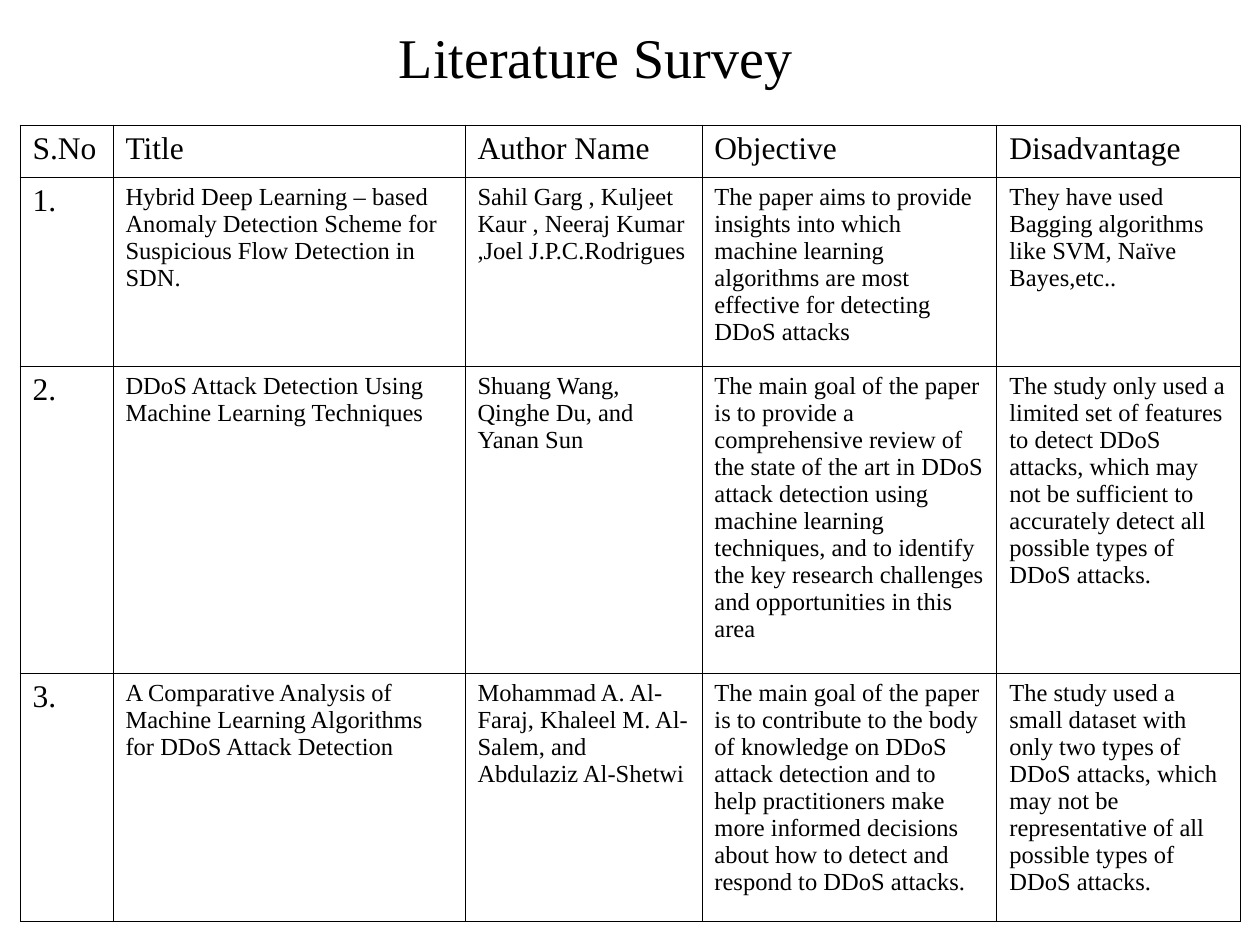
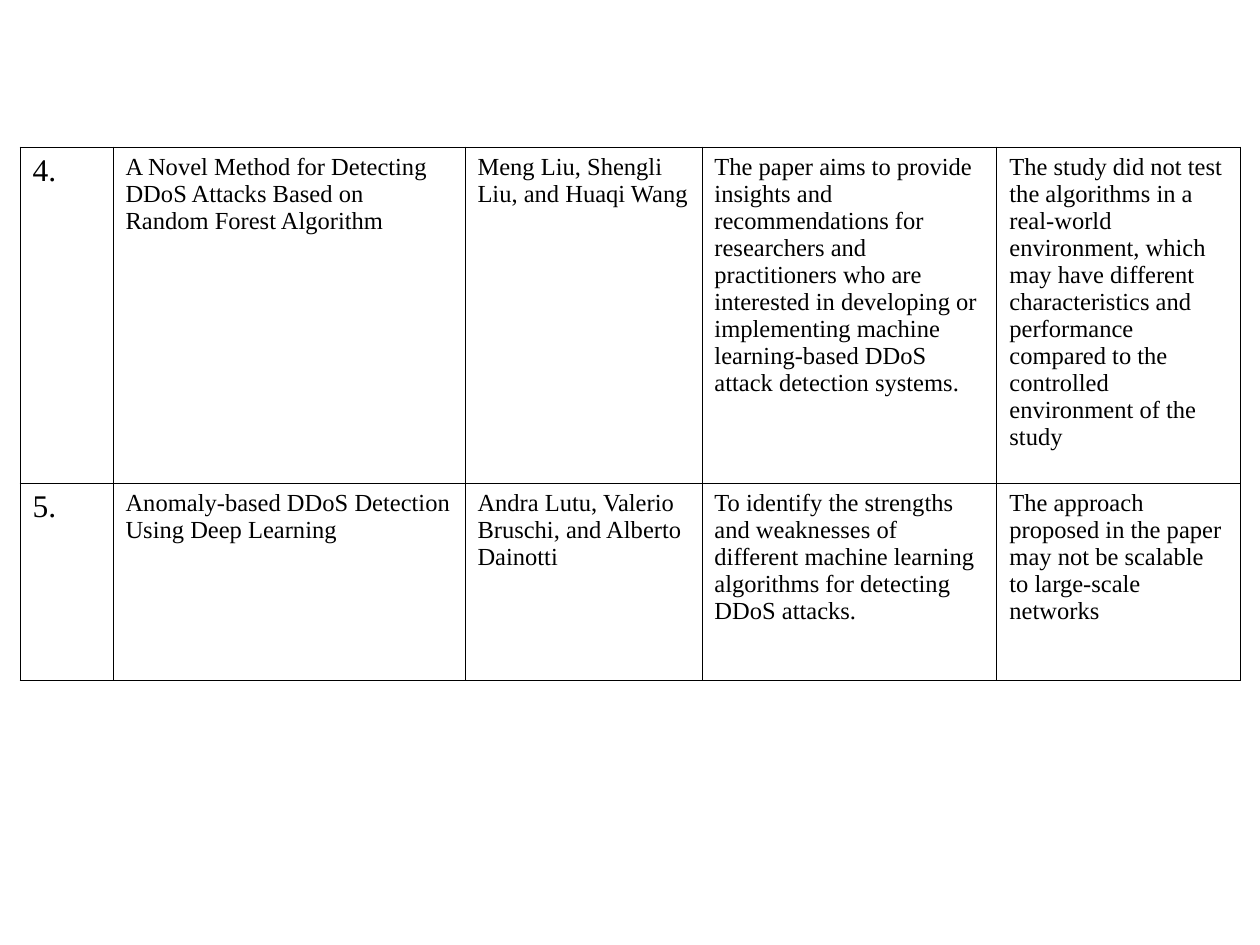
from lxml import etree
from pptx import Presentation
from pptx.dml.color import RGBColor
from pptx.oxml.ns import qn
from pptx.util import Emu, Pt

COLORS = {"ink": "000000"}
FONT = "Times New Roman"
TITLE_SIZE, LABEL_SIZE, BODY_SIZE = 32, 18, 14
BORDER = Pt(0.45)
TABLE_LEFT = 20
COLUMN_WIDTHS = [93, 352, 237, 295, 244]

HEADER = ["S.No", "Title", "Author Name", "Objective", "Disadvantage"]
SURVEY = [
    ["1.",
     "Hybrid Deep Learning – based Anomaly Detection Scheme for Suspicious Flow Detection in SDN.",
     "Sahil Garg , Kuljeet Kaur , Neeraj Kumar ,Joel J.P.C.Rodrigues",
     "The paper aims to provide insights into which machine learning algorithms are most "
     "effective for detecting DDoS attacks",
     "They have used Bagging algorithms like SVM, Naïve Bayes,etc.."],
    ["2.",
     "DDoS Attack Detection Using Machine Learning Techniques",
     "Shuang Wang, Qinghe Du, and Yanan Sun",
     "The main goal of the paper is to provide a comprehensive review of the state of the art "
     "in DDoS attack detection using machine learning techniques, and to identify the key "
     "research challenges and opportunities in this area",
     "The study only used a limited set of features to detect DDoS attacks, which may not be "
     "sufficient to accurately detect all possible types of DDoS attacks."],
    ["3.",
     "A Comparative Analysis of Machine Learning Algorithms for DDoS Attack Detection",
     "Mohammad A. Al-Faraj, Khaleel M. Al-Salem, and Abdulaziz Al-Shetwi",
     "The main goal of the paper is to contribute to the body of knowledge on DDoS attack "
     "detection and to help practitioners make more informed decisions about how to detect "
     "and respond to DDoS attacks.",
     "The study used a small dataset with only two types of DDoS attacks, which may not be "
     "representative of all possible types of DDoS attacks."],
    ["4.",
     "A Novel Method for Detecting DDoS Attacks Based on Random Forest Algorithm",
     "Meng Liu, Shengli Liu, and Huaqi Wang",
     "The paper aims to provide insights and recommendations for researchers and practitioners "
     "who are interested in developing or implementing machine learning-based DDoS attack "
     "detection systems.",
     "The study did not test the algorithms in a real-world environment, which may have "
     "different characteristics and performance compared to the controlled environment of "
     "the study"],
    ["5.",
     "Anomaly-based DDoS Detection Using Deep Learning",
     "Andra Lutu, Valerio Bruschi, and Alberto Dainotti",
     "To identify the strengths and weaknesses of different machine learning algorithms for "
     "detecting DDoS attacks.",
     "The approach proposed in the paper may not be scalable to large-scale networks"],
]
# Table top, row heights and rows of each slide
TABLES = [
    (125, [52, 189, 307, 248], [HEADER] + SURVEY[:3]),
    (147, [336, 197], SURVEY[3:]),
]


def px(length):
    return Emu(round(length * 914400 / 126))


def style_text(frame, size):
    for span in frame.paragraphs[0].runs:
        span.font.name = FONT
        span.font.size = Pt(size)
        span.font.color.rgb = RGBColor.from_string(COLORS["ink"])


deck = Presentation()
deck.slide_width, deck.slide_height = px(1260), px(945)

for top, heights, rows in TABLES:
    page = deck.slides.add_slide(deck.slide_layouts[6])
    table = page.shapes.add_table(len(rows), len(COLUMN_WIDTHS), px(TABLE_LEFT), px(top),
                                  px(sum(COLUMN_WIDTHS)), px(sum(heights))).table
    table.first_row = table.horz_banding = False
    for column, width in zip(table.columns, COLUMN_WIDTHS):
        column.width = px(width)
    for row, height, texts in zip(table.rows, heights, rows):
        row.height = px(height)
        for index, (cell, text) in enumerate(zip(row.cells, texts)):
            cell.text_frame.text = text
            is_label = index == 0 or texts is HEADER
            style_text(cell.text_frame, LABEL_SIZE if is_label else BODY_SIZE)
            properties = cell._tc.get_or_add_tcPr()
            for side in ("a:lnL", "a:lnR", "a:lnT", "a:lnB"):
                line = etree.SubElement(properties, qn(side), w=str(BORDER))
                fill = etree.SubElement(line, qn("a:solidFill"))
                etree.SubElement(fill, qn("a:srgbClr"), val=COLORS["ink"])
            cell.fill.background()

title = deck.slides[0].shapes.add_textbox(px(134), px(16), px(912), px(81))
title.text_frame.word_wrap = True
title.text_frame.margin_left = px(265)
title.text_frame.text = "Literature Survey"
style_text(title.text_frame, TITLE_SIZE)

deck.save("out.pptx")
